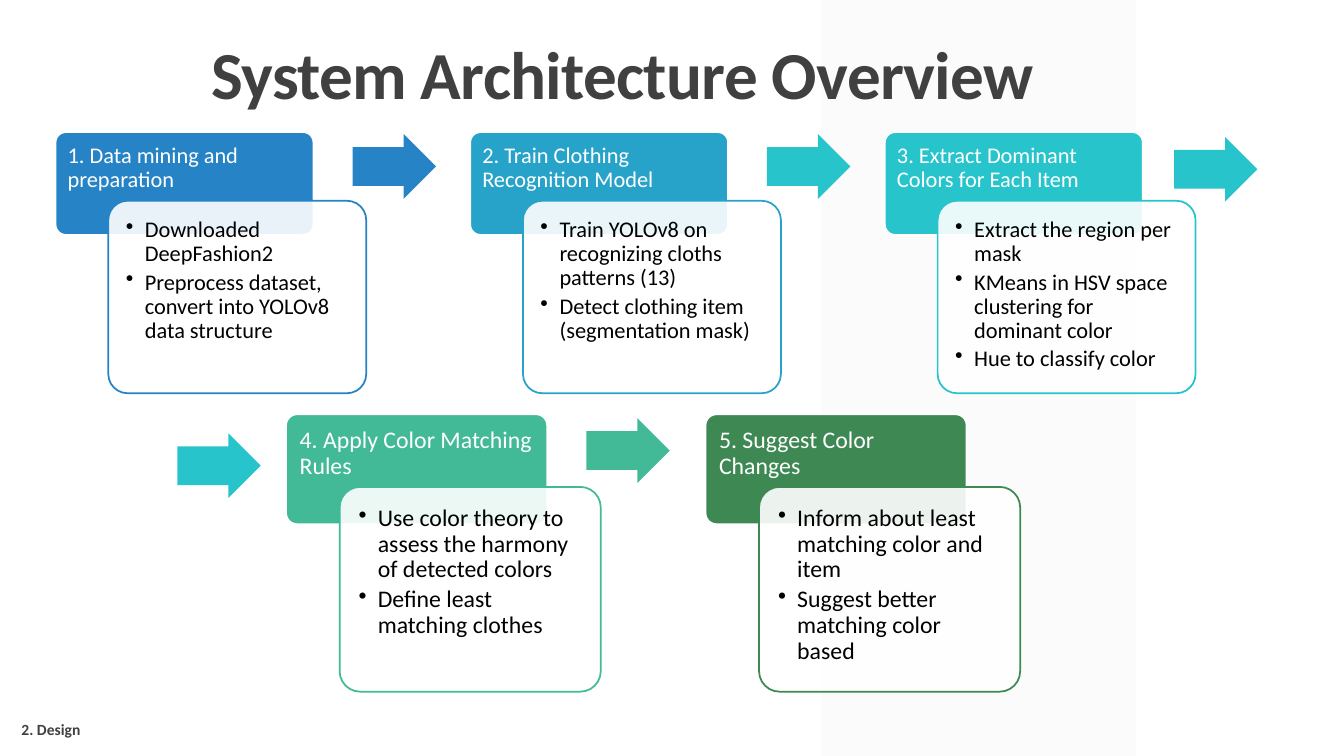
"""Build the system architecture overview slide."""
from dataclasses import dataclass

from lxml.etree import SubElement
from pptx import Presentation
from pptx.dml.color import RGBColor
from pptx.enum.shapes import MSO_SHAPE as Kind
from pptx.enum.text import MSO_ANCHOR as Anchor, MSO_AUTO_SIZE as Fit, PP_ALIGN as Align
from pptx.oxml.ns import qn
from pptx.util import Cm, Pt

BLUE, SKY, AQUA, MINT, GREEN = "2683C6", "27A3C9", "28C4CC", "42BA97", "3E8853"
WHITE, BLACK, GREY = "FFFFFF", "000000", "404040"


@dataclass
class Step:
    head: str
    points: list[str]
    color: str


@dataclass
class Row:
    left: float
    top: float
    pitch: float
    width: float
    head: float
    body: float
    shift: float
    drop: float
    pad: float
    size: int
    steps: list[Step]


@dataclass
class Arrow:
    left: float
    top: float
    color: str


ROWS = [
    Row(1.4, 3.33, 10.45, 6.5, 2.59, 4.85, 1.33, 1.73, 0.3, 16, [
        Step("1. Data mining and preparation",
             ["Downloaded DeepFashion2",
              "Preprocess dataset, convert into YOLOv8 data structure"], BLUE),
        Step("2. Train Clothing Recognition Model",
             ["Train YOLOv8 on recognizing cloths patterns (13)",
              "Detect clothing item (segmentation mask)"], SKY),
        Step("3. Extract Dominant Colors for Each Item",
             ["Extract the region per mask",
              "KMeans in HSV space clustering for dominant color",
              "Hue to classify color"], AQUA),
    ]),
    Row(7.21, 10.44, 10.57, 6.58, 2.77, 5.16, 1.35, 1.83, 0.33, 17, [
        Step("4. Apply Color Matching Rules",
             ["Use color theory to assess the harmony of detected colors",
              "Define least matching clothes"], MINT),
        Step("5. Suggest Color Changes",
             ["Inform about least matching color and item",
              "Suggest better matching color based"], GREEN),
    ]),
]
ARROWS = [
    Arrow(8.89, 3.38, BLUE), Arrow(19.33, 3.38, AQUA), Arrow(29.59, 3.45, AQUA),
    Arrow(4.47, 10.92, AQUA), Arrow(14.78, 10.54, MINT),
]


def paint(target, color: str, alpha: int = 100) -> None:
    target.solid()
    target.fore_color.rgb = RGBColor.from_string(color)
    if alpha < 100:
        tone = target._xPr.find(qn("a:solidFill"))[0]
        SubElement(tone, qn("a:alpha"), val=str(alpha * 1000))


def draw(slide, kind: Kind, box: tuple, fill: str, alpha: int = 100, edge: str = ""):
    shape = slide.shapes.add_shape(kind, *map(Cm, box))
    shape.shadow.inherit = False
    paint(shape.fill, fill, alpha)
    if edge:
        paint(shape.line.fill, edge)
        shape.line.width = Pt(1.25)
    else:
        shape.line.fill.background()
    return shape


def write(shape, lines: list[str], size: float, color: str, pads: tuple,
          anchor: Anchor = Anchor.TOP, spacing: float = 0.9,
          bold: bool = False, bullet: bool = False) -> None:
    frame = shape.text_frame
    frame.word_wrap = True
    frame.auto_size = Fit.NONE
    frame.vertical_anchor = anchor
    (frame.margin_left, frame.margin_top,
     frame.margin_right, frame.margin_bottom) = map(Cm, pads)
    frame.text = "\n".join(lines)
    for para in frame.paragraphs:
        para.alignment = Align.LEFT
        para.line_spacing = spacing
        para.space_before = Pt(0)
        para.space_after = Pt(3 if bullet else 0)
        if bullet:
            props = para._p.get_or_add_pPr()
            props.set("marL", str(Cm(0.48)))
            props.set("indent", str(-Cm(0.48)))
            SubElement(props, qn("a:buChar"), char="•")
        font = para.font
        font.name, font.size, font.bold = "Calibri", Pt(size), bold
        paint(font.fill, color)


def place(slide, row: Row) -> None:
    for index, step in enumerate(row.steps):
        left = row.left + index * row.pitch
        head = draw(slide, Kind.ROUNDED_RECTANGLE,
                    (left, row.top, row.width, row.head), step.color, edge=WHITE)
        body = draw(slide, Kind.ROUNDED_RECTANGLE,
                    (left + row.shift, row.top + row.drop, row.width, row.body),
                    WHITE, 90, step.color)
        for card in (head, body):
            card.adjustments[0] = 0.1
        write(head, [step.head], row.size, WHITE, (row.pad - 0.07,) * 4)
        write(body, step.points, row.size, BLACK, (row.pad,) * 4, bullet=True)


def main() -> None:
    deck = Presentation()
    deck.slide_width, deck.slide_height = Cm(33.87), Cm(19.05)
    slide = deck.slides.add_slide(deck.slide_layouts[5])

    title = slide.shapes.title
    title.left, title.top, title.width, title.height = map(Cm, (5.08, 0.71, 23.14, 2.29))
    write(title, ["System Architecture Overview"], 48, GREY,
          (0.25, 0.13, 0.25, 0.13), Anchor.BOTTOM, bold=True)
    title.text_frame.paragraphs[0].font._rPr.set("spc", "-50")

    band = draw(slide, Kind.RECTANGLE, (20.7, 0, 7.92, 19.05), "F2F2F2", 30)
    title.element.addprevious(band.element)

    for row in ROWS:
        place(slide, row)
    for arrow in ARROWS:
        shape = draw(slide, Kind.RIGHT_ARROW, (arrow.left, arrow.top, 2.1, 1.63), arrow.color)
        shape.adjustments[0], shape.adjustments[1] = 0.6, 0.5

    label = slide.shapes.add_textbox(*map(Cm, (0.36, 18.08, 3.56, 0.66)))
    write(label, ["2. Design"], 11.1, GREY, (0.18, 0.13, 0, 0.13),
          Anchor.MIDDLE, 0.8, bold=True)
    deck.save("out.pptx")


if __name__ == "__main__":
    main()
